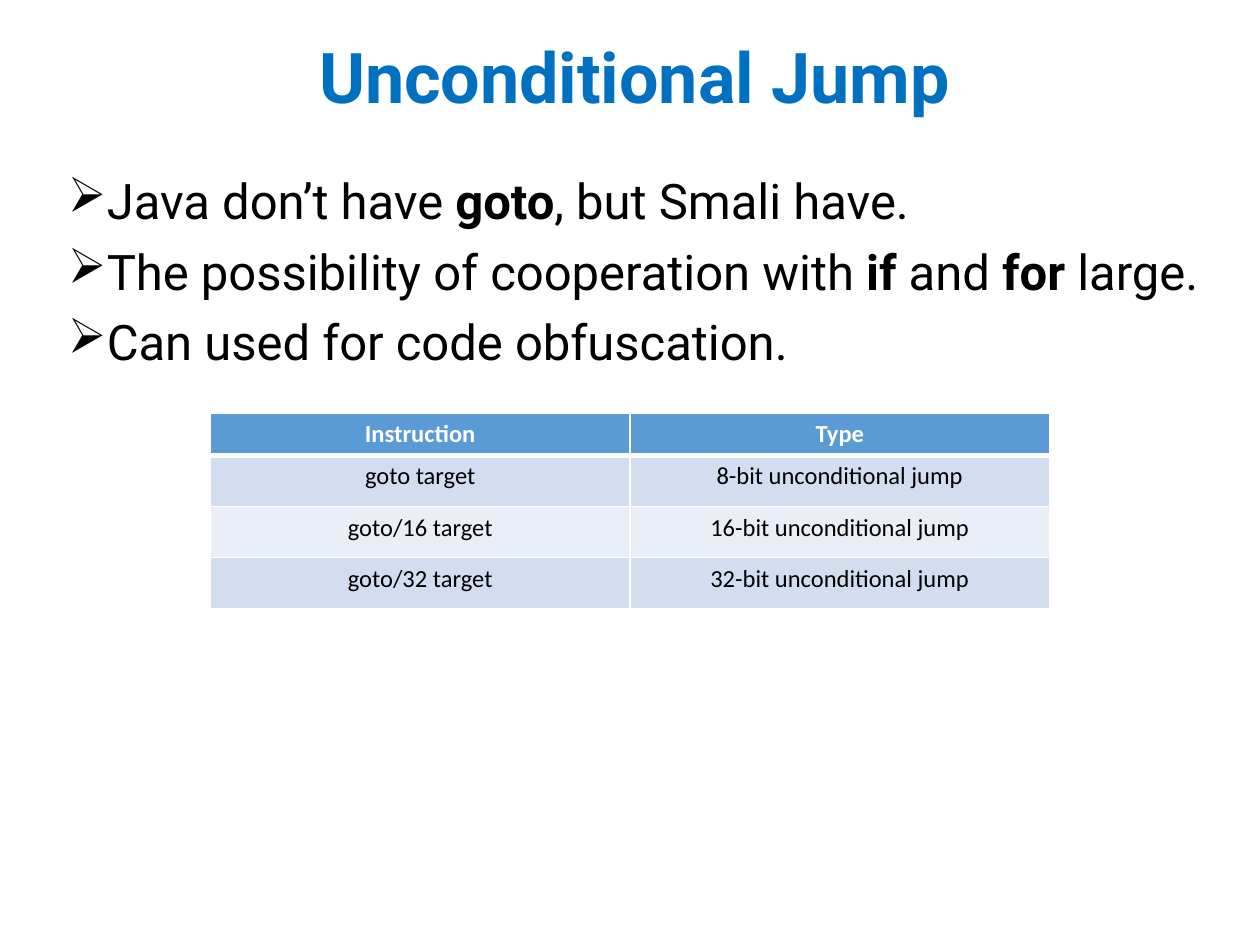
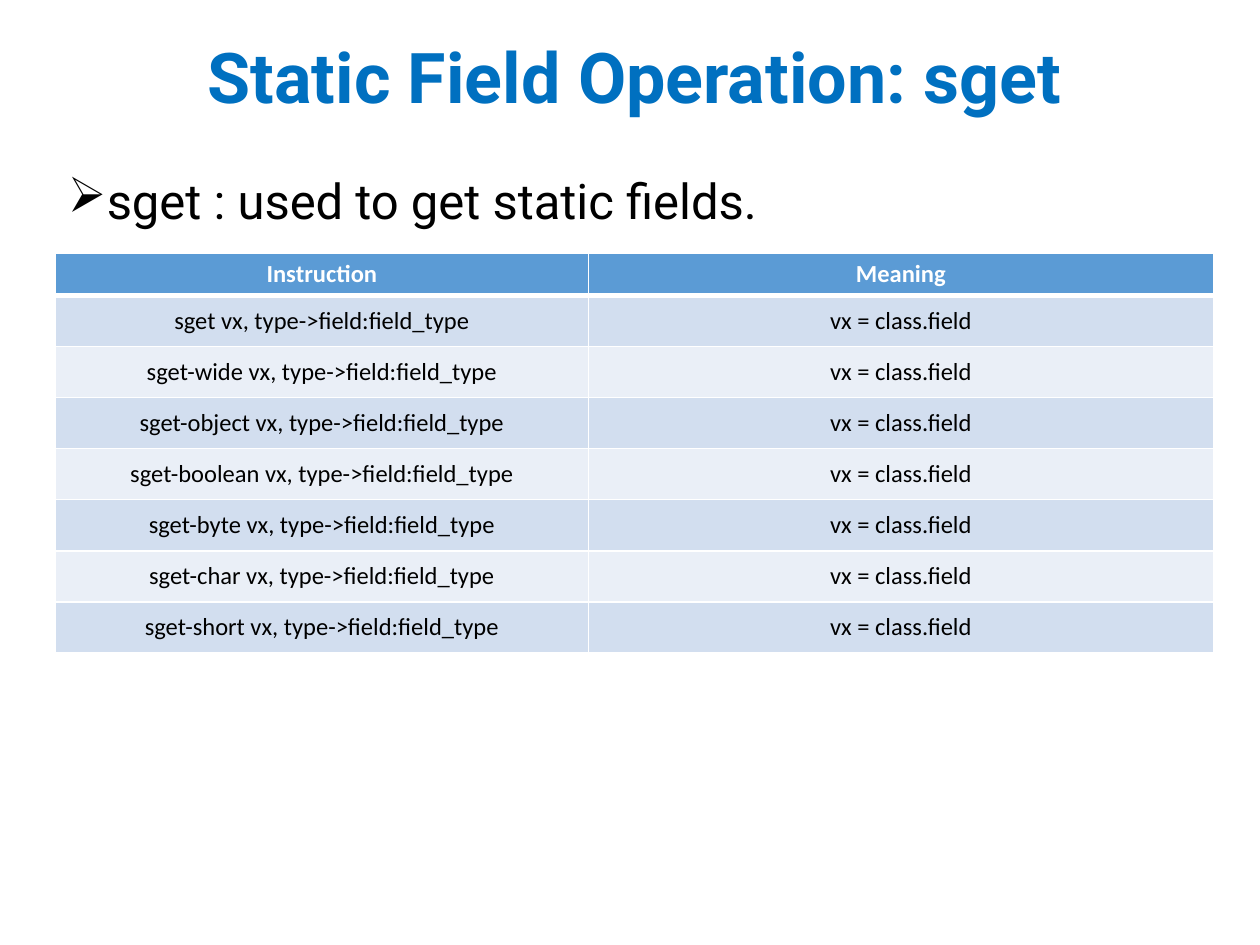
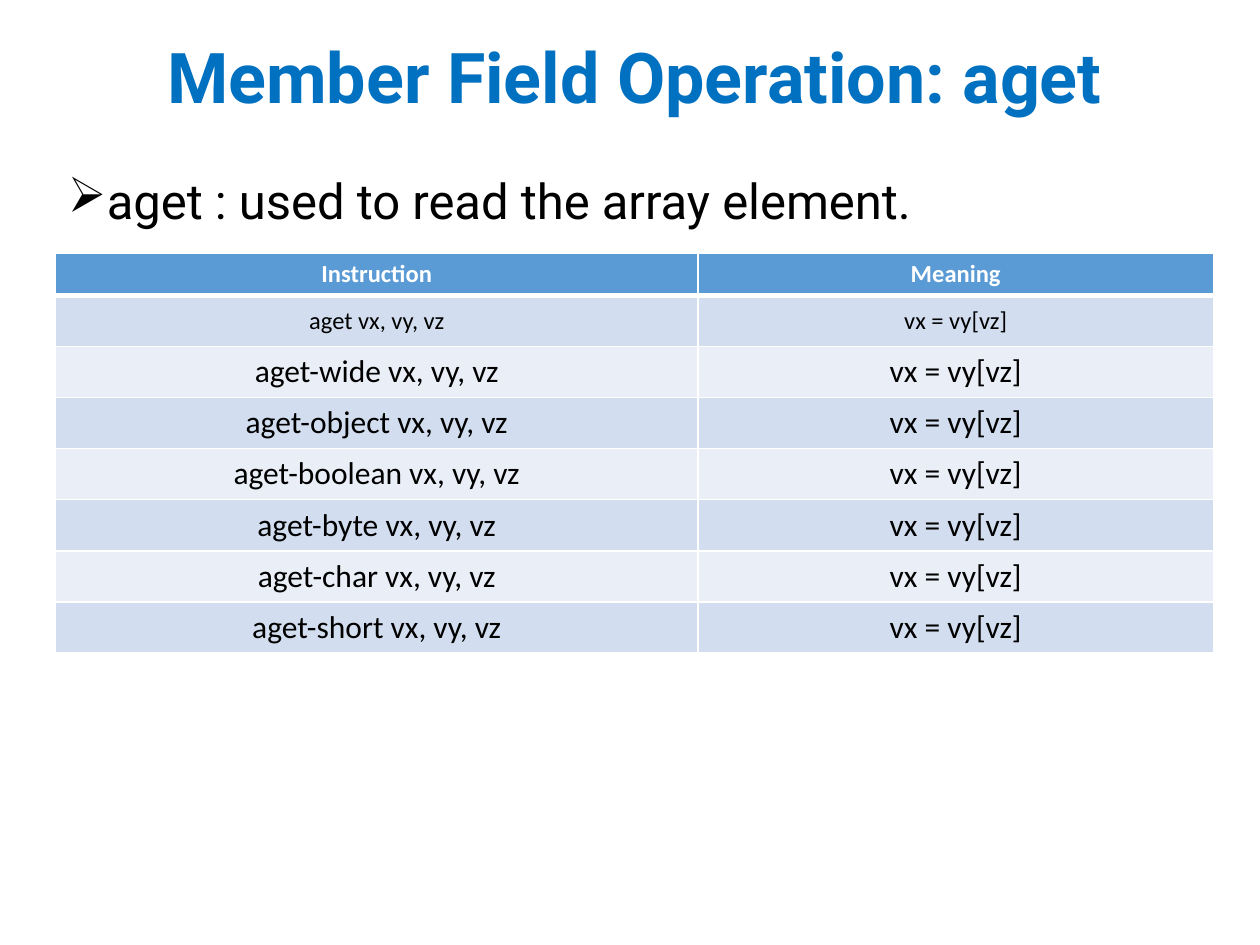
from dataclasses import dataclass

from lxml import etree
from pptx import Presentation
from pptx.dml.color import RGBColor
from pptx.enum.text import MSO_ANCHOR, PP_ALIGN
from pptx.oxml.ns import qn
from pptx.util import Inches, Pt

LEFT, CENTER = PP_ALIGN.LEFT, PP_ALIGN.CENTER
TOP, MIDDLE = MSO_ANCHOR.TOP, MSO_ANCHOR.MIDDLE


@dataclass(frozen=True)
class Theme:
    title_color: str = "0070C0"
    text_color: str = "000000"
    white: str = "FFFFFF"
    header_fill: str = "5B9BD5"
    band_fills: tuple = ("D2DEEF", "EAEFF7")
    text_font: str = "Roboto"
    table_font: str = "Calibri"
    title_size: int = 40
    bullet_size: int = 28
    cell_size: int = 14
    large_cell_size: int = 18
    line_spacing: float = 0.9
    bullet_gap: int = 10
    rule: int = 1
    header_rule: int = 3


THEME = Theme()
SLIDE_WIDTH, SLIDE_HEIGHT = 10, 7.5
MARGIN, CONTENT_WIDTH = 0.44, 9.19
TITLE_TOP, TITLE_HEIGHT = 0.24, 0.81
BODY_TOP, BODY_HEIGHT = 1.36, 5.95
HEADER_ROW, BODY_ROW = Pt(23.2), Pt(29.2)

VARIANTS = ["", "-wide", "-object", "-boolean", "-byte", "-char", "-short"]

# Text between double asterisks is bold.
SLIDES = [
    {
        "title": "Unconditional Jump",
        "bullets": [
            "Java don’t have **goto**, but Smali have.",
            "The possibility of cooperation with **if** and **for **large.",
            "Can used for code obfuscation.",
        ],
        "header": ("Instruction", "Type"),
        "rows": [(f"goto{suffix} target", f"{bits}-bit unconditional jump")
                 for suffix, bits in (("", 8), ("/16", 16), ("/32", 32))],
        "place": (1.67, 3.28),
        "columns": (3.33, 3.33),
        "anchor": TOP,
    },
    {
        "title": "Static Field Operation: sget",
        "bullets": ["sget : used to get static fields."],
        "header": ("Instruction", "Meaning"),
        "rows": [(f"sget{variant} vx, type->field:field_type", "vx = class.field")
                 for variant in VARIANTS],
        "place": (MARGIN, 2.01),
        "columns": (4.23, 4.96),
        "anchor": MIDDLE,
    },
    {
        "title": "Member Field Operation: aget",
        "bullets": ["aget : used to read the array element."],
        "header": ("Instruction", "Meaning"),
        "rows": [(f"aget{variant} vx, vy, vz", "vx = vy[vz]") for variant in VARIANTS],
        "place": (MARGIN, 2.01),
        "columns": (5.1, 4.09),
        "anchor": MIDDLE,
        "later_size": THEME.large_cell_size,
    },
]


def write(paragraph, text, *, size, font, color, bold=False, align=LEFT, spacing=None):
    """Fill a paragraph, switching bold at each double asterisk."""
    paragraph.alignment = align
    if spacing:
        paragraph.line_spacing = spacing
    for index, part in enumerate(text.split("**")):
        run = paragraph.add_run()
        run.text = part
        run.font.size = Pt(size)
        run.font.name = font
        run.font.bold = bold or index % 2 == 1
        run.font.color.rgb = RGBColor.from_string(color)


def add_text_frame(slide, top, height, anchor):
    box = slide.shapes.add_textbox(
        Inches(MARGIN), Inches(top), Inches(CONTENT_WIDTH), Inches(height))
    box.text_frame.word_wrap = True
    box.text_frame.vertical_anchor = anchor
    return box.text_frame


def add_title(slide, title):
    frame = add_text_frame(slide, TITLE_TOP, TITLE_HEIGHT, MIDDLE)
    write(frame.paragraphs[0], title, size=THEME.title_size, font=THEME.text_font,
          color=THEME.title_color, bold=True, align=CENTER, spacing=THEME.line_spacing)


def set_bullet(paragraph):
    properties = paragraph._p.get_or_add_pPr()
    properties.set("marL", str(Inches(0.25)))
    properties.set("indent", str(Inches(-0.39)))
    etree.SubElement(properties, qn("a:buChar"), char="➢")


def add_bullets(slide, bullets):
    frame = add_text_frame(slide, BODY_TOP, BODY_HEIGHT, TOP)
    for index, text in enumerate(bullets):
        paragraph = frame.add_paragraph() if index else frame.paragraphs[0]
        set_bullet(paragraph)
        if index:
            paragraph.space_before = Pt(THEME.bullet_gap)
        write(paragraph, text, size=THEME.bullet_size, font=THEME.text_font,
              color=THEME.text_color, spacing=THEME.line_spacing)


def style_cell(cell, fill, anchor, top_rule, bottom_rule):
    cell.vertical_anchor = anchor
    properties = cell._tc.get_or_add_tcPr()
    rules = {"lnL": THEME.rule, "lnR": THEME.rule, "lnT": top_rule, "lnB": bottom_rule}
    for side, width in rules.items():
        line = etree.SubElement(properties, qn(f"a:{side}"), w=str(Pt(width)))
        solid = etree.SubElement(line, qn("a:solidFill"))
        etree.SubElement(solid, qn("a:srgbClr"), val=THEME.white)
    cell.fill.solid()
    cell.fill.fore_color.rgb = RGBColor.from_string(fill)


def add_instruction_table(slide, content):
    rows = [content["header"], *content["rows"]]
    columns = [Inches(width) for width in content["columns"]]
    heights = [HEADER_ROW] + [BODY_ROW] * len(content["rows"])
    left, top = content["place"]
    table = slide.shapes.add_table(len(rows), len(columns), Inches(left), Inches(top),
                                   sum(columns), sum(heights)).table
    table.horz_banding = False
    for column, width in zip(table.columns, columns):
        column.width = width
    for index, (row, height, texts) in enumerate(zip(table.rows, heights, rows)):
        row.height = height
        is_header = index == 0
        fill = THEME.header_fill if is_header else THEME.band_fills[(index - 1) % 2]
        size = content.get("later_size", THEME.cell_size) if index > 1 else THEME.cell_size
        for cell, text in zip(row.cells, texts):
            style_cell(cell, fill, TOP if is_header else content["anchor"],
                       THEME.header_rule if index == 1 else THEME.rule,
                       THEME.header_rule if is_header else THEME.rule)
            write(cell.text_frame.paragraphs[0], text, size=size, font=THEME.table_font,
                  color=THEME.white if is_header else THEME.text_color,
                  bold=is_header, align=CENTER)


def main():
    presentation = Presentation()
    presentation.slide_width = Inches(SLIDE_WIDTH)
    presentation.slide_height = Inches(SLIDE_HEIGHT)
    blank = presentation.slide_layouts[6]
    for content in SLIDES:
        slide = presentation.slides.add_slide(blank)
        add_title(slide, content["title"])
        add_bullets(slide, content["bullets"])
        add_instruction_table(slide, content)
    presentation.save("out.pptx")


if __name__ == "__main__":
    main()
